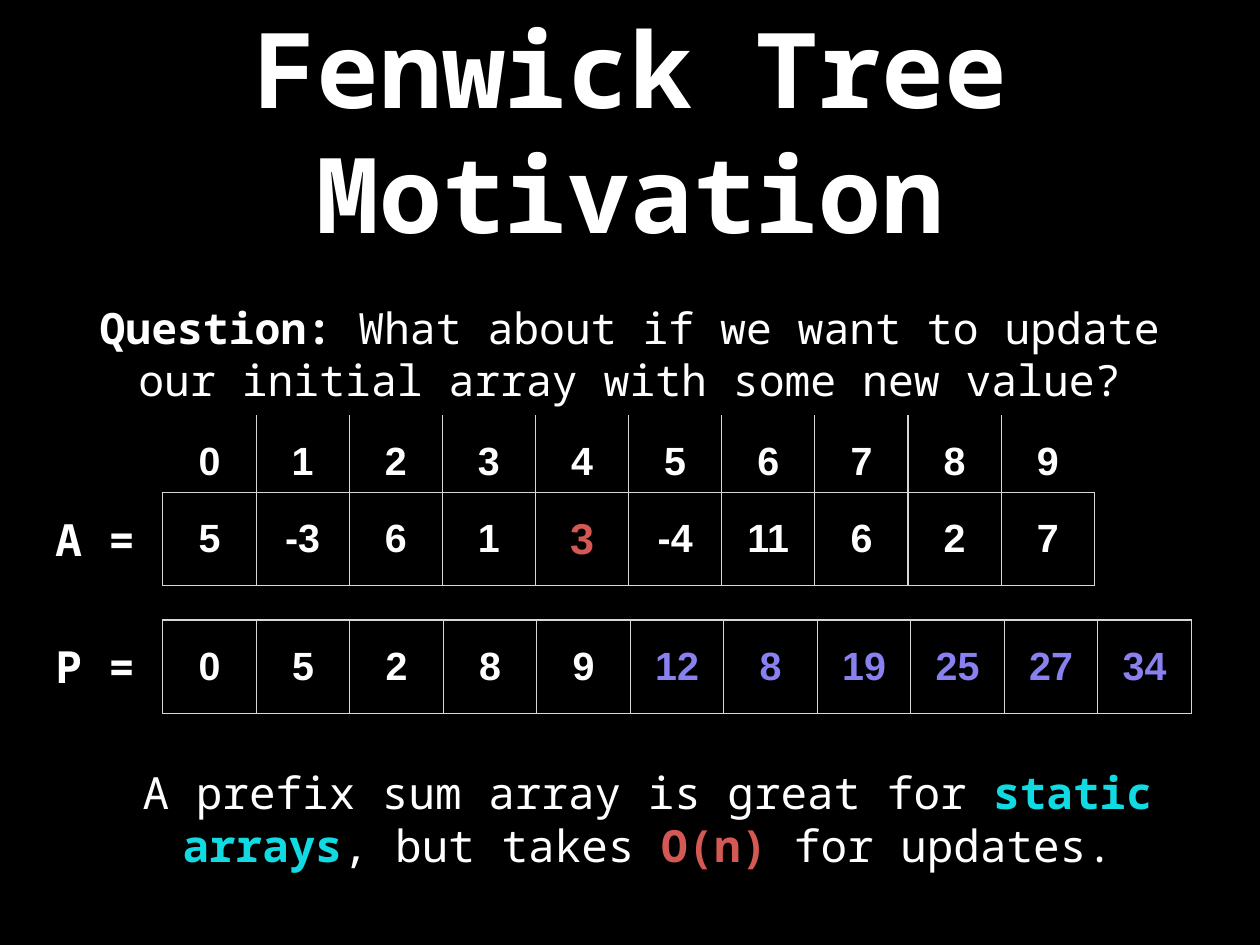
from dataclasses import dataclass

from lxml.etree import SubElement
from pptx import Presentation
from pptx.dml.color import RGBColor
from pptx.enum.text import MSO_ANCHOR as Anchor, MSO_AUTO_SIZE as AutoSize, PP_ALIGN as Align
from pptx.oxml.ns import qn
from pptx.util import Cm, Pt

COLORS = {
    "black": "000000",
    "white": "FFFFFF",
    "red": "D45854",
    "purple": "8981F0",
    "cyan": "11DBE2",
    "grid": "D6D6D6",
}
MONO = "Noto Sans Mono"
SANS = "Arial"
INSET = Cm(0.14)
ROW_HEIGHT = 2.68
ARRAY_LEFT = 4.67
NO_STYLE = "{2D5ABB26-0587-4C30-8999-92F81FD0307C}"


@dataclass
class Span:
    text: str
    color: str = "white"
    bold: bool = True


@dataclass
class TextBlock:
    left: float
    top: float
    width: float
    height: float
    size: float
    spans: list[Span]
    wrap: bool = True


@dataclass
class Array:
    top: float
    col_width: float
    values: list[int]
    boxed: bool = True
    accent: str = "white"
    accent_cells: range = range(0)
    accent_size: float = 32


TITLE = TextBlock(-1.24, -0.05, 38.61, 7.52, 85, [Span("Fenwick Tree Motivation")])

TEXTS = [
    TextBlock(2.64, 7.14, 30.84, 5.99, 35, [
        Span("Question:"),
        Span(" What about if we want to update our initial array with some new value?", bold=False),
    ]),
    TextBlock(1.42, 14.58, 2.62, 1.73, 36, [Span("A =")], wrap=False),
    TextBlock(1.42, 18.24, 2.62, 1.73, 36, [Span("P =")], wrap=False),
    TextBlock(0.97, 21.87, 35.2, 3.18, 36, [
        Span("A prefix sum array is great for ", bold=False),
        Span("static arrays", "cyan"),
        Span(", but takes ", bold=False),
        Span("O(n)", "red"),
        Span(" for updates.", bold=False),
    ]),
]

ARRAYS = [
    Array(14.12, 2.67, [5, -3, 6, 1, 3, -4, 11, 6, 2, 7],
          accent="red", accent_cells=range(4, 5), accent_size=35),
    Array(11.91, 2.67, list(range(10)), boxed=False),
    Array(17.78, 2.68, [0, 5, 2, 8, 9, 12, 8, 19, 25, 27, 34],
          accent="purple", accent_cells=range(5, 11)),
]


def rgb(name: str) -> RGBColor:
    return RGBColor.from_string(COLORS[name])


def style_run(r, font: str, size: float, color: str, bold: bool) -> None:
    r.font.name = font
    r.font.size = Pt(size)
    r.font.bold = bold
    r.font.color.rgb = rgb(color)


def set_margins(target) -> None:
    target.margin_left = target.margin_right = INSET
    target.margin_top = target.margin_bottom = INSET


def fill_text(sp, block: TextBlock) -> None:
    sp.left, sp.top = Cm(block.left), Cm(block.top)
    sp.width, sp.height = Cm(block.width), Cm(block.height)
    tf = sp.text_frame
    tf.word_wrap = block.wrap
    tf.auto_size = AutoSize.NONE
    tf.vertical_anchor = Anchor.MIDDLE
    set_margins(tf)
    p = tf.paragraphs[0]
    p.alignment = Align.CENTER
    for span in block.spans:
        r = p.add_run()
        r.text = span.text
        style_run(r, MONO, block.size, span.color, span.bold)


def set_borders(cell, sides: list[str]) -> None:
    tc_pr = cell._tc.get_or_add_tcPr()
    for i, side in enumerate(sides):
        ln = SubElement(tc_pr, qn(f"a:{side}"), w=str(Pt(1)))
        fill = SubElement(ln, qn("a:solidFill"))
        SubElement(fill, qn("a:srgbClr"), val=COLORS["grid"])
        tc_pr.insert(i, ln)


def draw_array(s, array: Array) -> None:
    count = len(array.values)
    frame = s.shapes.add_table(1, count, Cm(ARRAY_LEFT), Cm(array.top),
                               Cm(array.col_width * count), Cm(ROW_HEIGHT))
    table = frame.table
    table.first_row = table.horz_banding = False
    table._tbl.tblPr.find(qn("a:tableStyleId")).text = NO_STYLE
    table.rows[0].height = Cm(ROW_HEIGHT)
    for i, value in enumerate(array.values):
        table.columns[i].width = Cm(array.col_width)
        cell = table.cell(0, i)
        cell.fill.background()
        cell.vertical_anchor = Anchor.MIDDLE
        set_margins(cell)
        cell.text_frame.text = str(value)
        p = cell.text_frame.paragraphs[0]
        p.alignment = Align.CENTER
        accented = i in array.accent_cells
        style_run(p.runs[0], SANS, array.accent_size if accented else 32,
                  array.accent if accented else "white", True)
        sides = ["lnL"] if array.boxed or i > 0 else []
        sides += ["lnR"] if array.boxed or i < count - 1 else []
        sides += ["lnT", "lnB"] if array.boxed else []
        set_borders(cell, sides)


def main() -> None:
    prs = Presentation()
    prs.slide_width, prs.slide_height = Cm(36.12), Cm(27.1)
    s = prs.slides.add_slide(prs.slide_layouts[5])
    s.background.fill.solid()
    s.background.fill.fore_color.rgb = rgb("black")
    fill_text(s.shapes.title, TITLE)
    for block in TEXTS:
        fill_text(s.shapes.add_textbox(0, 0, 0, 0), block)
    for array in ARRAYS:
        draw_array(s, array)
    prs.save("out.pptx")


if __name__ == "__main__":
    main()
